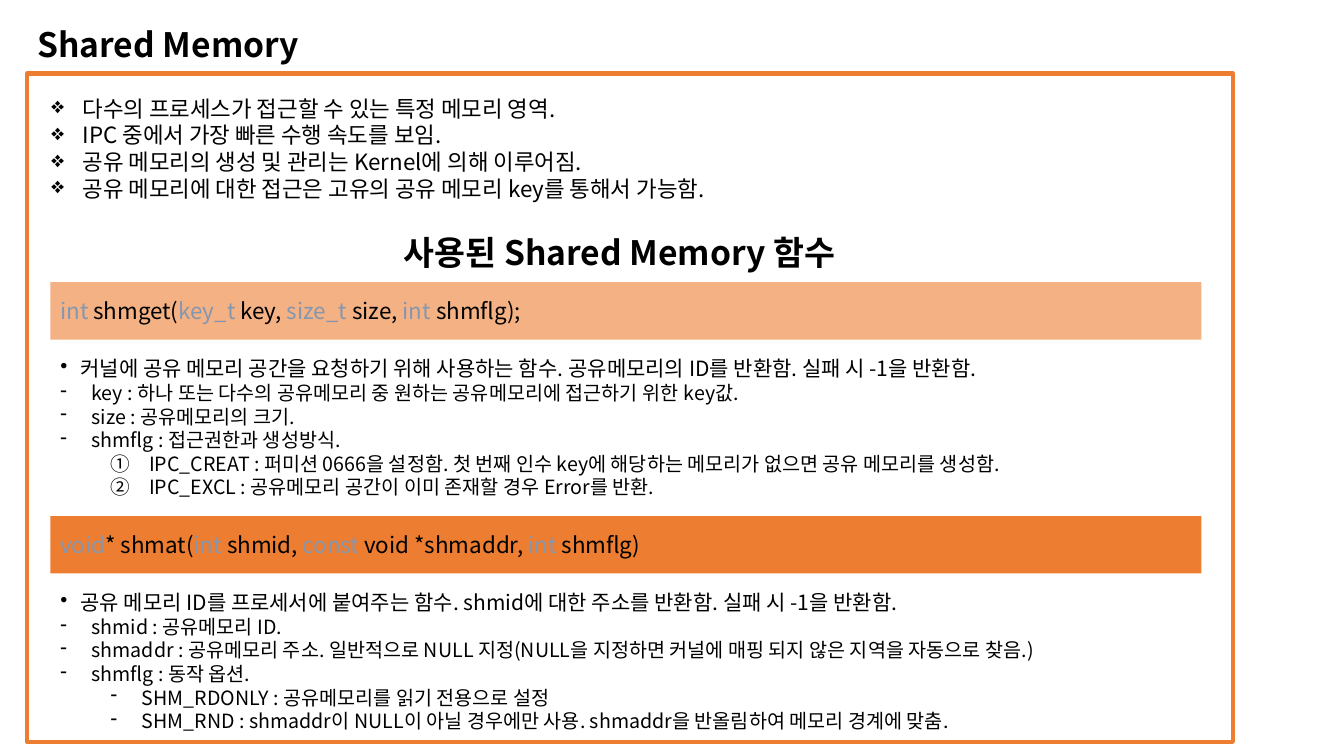
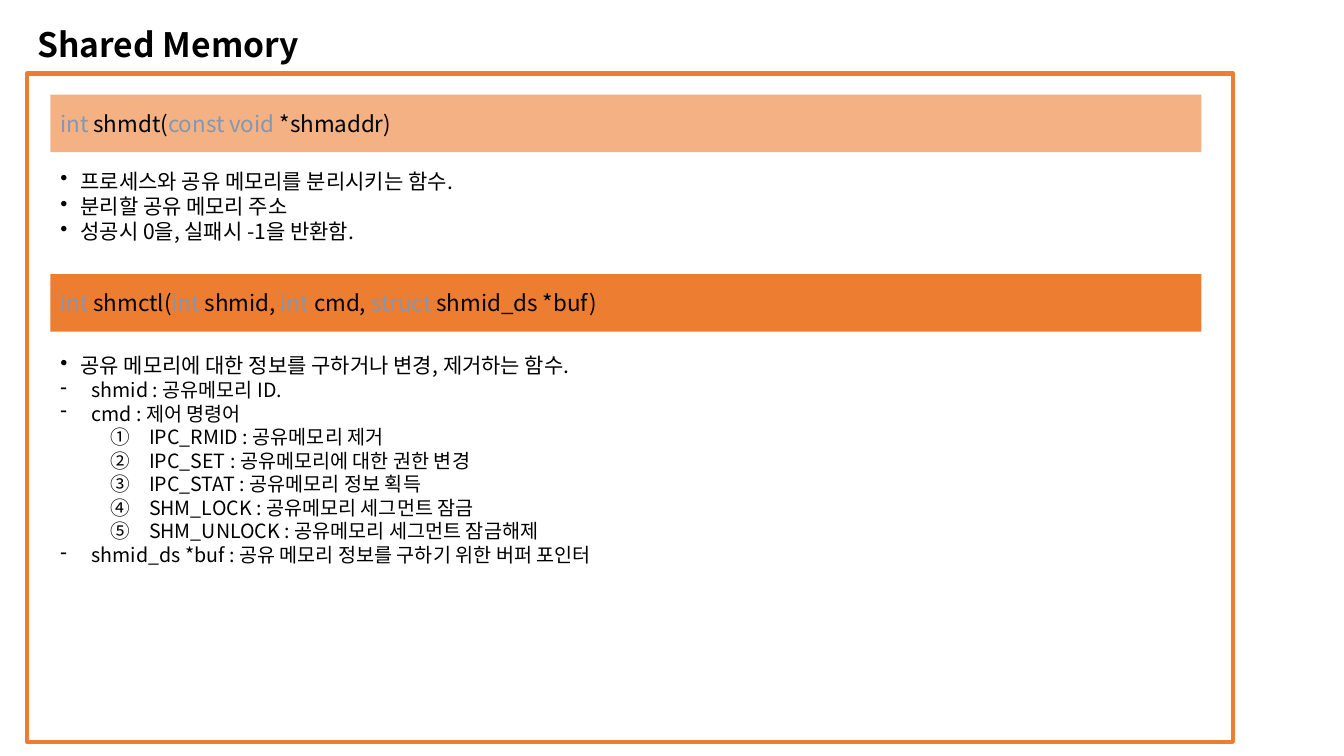
import dataclasses

import lxml.etree
import pptx
import pptx.dml.color
import pptx.enum.shapes
import pptx.enum.text
import pptx.oxml.ns
import pptx.util


@dataclasses.dataclass(frozen=True)
class Theme:
    font: str = "Noto Sans CJK KR"
    ink: str = "000000"
    key: str = "8497B0"
    pale: str = "F4B183"
    deep: str = "ED7D31"
    head: int = 24
    body: int = 16
    lead: int = 15
    note: int = 14
    pitch: float = 1.2


THEME = Theme()
WIDE = pptx.util.Inches(13.33)
HIGH = pptx.util.Inches(7.5)
PAD = pptx.util.Inches(0.05)

# Shares of the slide, in percent
EDGE = 2.03
LEFT = 3.75
SPAN = 85.65
BAR = 7.6
GAP = 1.47

# Kind: bullet, level, text indent and hang in inches, type size
KINDS = {
    "gem": ("❖", 0, 0.31, 0.31, THEME.body),
    "dot": ("•", 0, 0.2, 0.2, THEME.lead),
    "dash": ("-", 0, 0.31, 0.31, THEME.note),
    "sub": ("-", 1, 0.81, 0.31, THEME.note),
    "num": (None, 1, 0.88, 0.38, THEME.note),
}

FACTS = [
    ("gem", "다수의 프로세스가 접근할 수 있는 특정 메모리 영역."),
    ("gem", "IPC 중에서 가장 빠른 수행 속도를 보임."),
    ("gem", "공유 메모리의 생성 및 관리는 Kernel에 의해 이루어짐."),
    ("gem", "공유 메모리에 대한 접근은 고유의 공유 메모리 key를 통해서 가능함."),
]
GET = [
    ("dot", "커널에 공유 메모리 공간을 요청하기 위해 사용하는 함수. "
            "공유메모리의 ID를 반환함. 실패 시 -1을 반환함."),
    ("dash", "key : 하나 또는 다수의 공유메모리 중 원하는 공유메모리에 "
             "접근하기 위한 key값."),
    ("dash", "size : 공유메모리의 크기."),
    ("dash", "shmflg : 접근권한과 생성방식."),
    ("num", "IPC_CREAT : 퍼미션 0666을 설정함. 첫 번째 인수 key에 "
            "해당하는 메모리가 없으면 공유 메모리를 생성함."),
    ("num", "IPC_EXCL : 공유메모리 공간이 이미 존재할 경우 Error를 반환."),
]
ATTACH = [
    ("dot", "공유 메모리 ID를 프로세서에 붙여주는 함수. "
            "shmid에 대한 주소를 반환함. 실패 시 -1을 반환함."),
    ("dash", "shmid : 공유메모리 ID."),
    ("dash", "shmaddr : 공유메모리 주소. 일반적으로 NULL 지정(NULL을 "
             "지정하면 커널에 매핑 되지 않은 지역을 자동으로 찾음.)"),
    ("dash", "shmflg : 동작 옵션."),
    ("sub", "SHM_RDONLY : 공유메모리를 읽기 전용으로 설정"),
    ("sub", "SHM_RND : shmaddr이 NULL이 아닐 경우에만 사용. "
            "shmaddr을 반올림하여 메모리 경계에 맞춤."),
]
DETACH = [
    ("dot", "프로세스와 공유 메모리를 분리시키는 함수."),
    ("dot", "분리할 공유 메모리 주소"),
    ("dot", "성공시 0을, 실패시 -1을 반환함."),
]
CONTROL = [
    ("dot", "공유 메모리에 대한 정보를 구하거나 변경, 제거하는 함수."),
    ("dash", "shmid : 공유메모리 ID."),
    ("dash", "cmd : 제어 명령어"),
    ("num", "IPC_RMID : 공유메모리 제거"),
    ("num", "IPC_SET : 공유메모리에 대한 권한 변경"),
    ("num", "IPC_STAT : 공유메모리 정보 획득"),
    ("num", "SHM_LOCK : 공유메모리 세그먼트 잠금"),
    ("num", "SHM_UNLOCK : 공유메모리 세그먼트 잠금해제"),
    ("dash", "shmid_ds *buf : 공유 메모리 정보를 구하기 위한 버퍼 포인터"),
]


def color(code):
    return pptx.dml.color.RGBColor.from_string(code)


def place(x, y, w, h):
    """Turn percent shares of the slide into lengths."""
    return [int(share * full / 100)
            for share, full in zip((x, y, w, h), (WIDE, HIGH, WIDE, HIGH))]


def tall(sizes):
    """Percent height of a box that holds lines of these type sizes."""
    lines = pptx.util.Pt(sum(sizes) * THEME.pitch)
    return (lines + 2 * PAD) / HIGH * 100


def write(para, text, *, size, tone=THEME.ink, bold=False):
    """Add one run to a paragraph and set its line pitch."""
    para.alignment = pptx.enum.text.PP_ALIGN.LEFT
    para.line_spacing = pptx.util.Pt(size * THEME.pitch)
    para.space_before = para.space_after = pptx.util.Pt(0)
    run = para.add_run()
    run.text = text
    font = run.font
    font.size = pptx.util.Pt(size)
    font.bold = bold
    font.color.rgb = color(tone)
    font.name = THEME.font
    east = lxml.etree.SubElement(
        run._r.get_or_add_rPr(), pptx.oxml.ns.qn("a:ea"))
    east.set("typeface", THEME.font)


def mark(para, sign, hang, indent):
    """Give a paragraph its bullet; no sign means circled numbers."""
    props = para._p.get_or_add_pPr()
    props.set("marL", str(pptx.util.Inches(indent)))
    props.set("indent", str(-pptx.util.Inches(hang)))
    tag, name, value = (("a:buChar", "char", sign) if sign else
                        ("a:buAutoNum", "type", "circleNumDbPlain"))
    node = lxml.etree.SubElement(props, pptx.oxml.ns.qn(tag))
    node.set(name, value)


def setup(frame, anchor=pptx.enum.text.MSO_ANCHOR.TOP):
    frame.word_wrap = True
    frame.auto_size = pptx.enum.text.MSO_AUTO_SIZE.NONE
    frame.vertical_anchor = anchor
    frame.margin_top = frame.margin_bottom = PAD
    return frame


def rect(slide, *box):
    shape = slide.shapes.add_shape(
        pptx.enum.shapes.MSO_SHAPE.RECTANGLE, *place(*box))
    shape.shadow.inherit = False
    return shape


def notes(slide, items, x, y, w):
    sizes = [KINDS[kind][-1] for kind, _ in items]
    box = slide.shapes.add_textbox(*place(x, y, w, tall(sizes)))
    frame = setup(box.text_frame)
    for spot, (kind, text) in enumerate(items):
        para = frame.add_paragraph() if spot else frame.paragraphs[0]
        sign, level, indent, hang, size = KINDS[kind]
        para.level = level
        write(para, text, size=size)
        mark(para, sign, hang, indent)


def entry(slide, y, fill, code, items, gap=GAP):
    """Draw a signature bar, its parts in turn key and plain, and notes."""
    bar = rect(slide, LEFT, y, SPAN, BAR)
    bar.fill.solid()
    bar.fill.fore_color.rgb = color(fill)
    bar.line.fill.background()
    frame = setup(bar.text_frame, pptx.enum.text.MSO_ANCHOR.MIDDLE)
    for spot, part in enumerate(code.split("|")):
        tone = THEME.ink if spot % 2 else THEME.key
        write(frame.paragraphs[0], part, size=THEME.body, tone=tone)
    notes(slide, items, LEFT, y + BAR + gap, SPAN)


def head(shape, text, x, y, w):
    shape.left, shape.top, shape.width, shape.height = place(
        x, y, w, tall([THEME.head]))
    frame = setup(shape.text_frame)
    write(frame.paragraphs[0], text, size=THEME.head, bold=True)


def start(deck):
    """Add a slide with the shared title and frame."""
    slide = deck.slides.add_slide(deck.slide_layouts[5])
    head(slide.shapes.title, "Shared Memory", EDGE, 2.53, 40.35)
    border = rect(slide, EDGE, 9.73, 89.7, 88.4)
    border.fill.background()
    border.line.color.rgb = color(THEME.deep)
    border.line.width = pptx.util.Pt(3)
    return slide


def main():
    deck = pptx.Presentation()
    deck.slide_width, deck.slide_height = WIDE, HIGH

    slide = start(deck)
    notes(slide, FACTS, 3.08, 11.87, 87.07)
    label = slide.shapes.add_textbox(0, 0, 0, 0)
    head(label, "사용된 Shared Memory 함수", 29.32, 30, 35.1)
    entry(slide, 37.33, THEME.pale,
          "int |shmget(|key_t |key, |size_t |size, |int |shmflg);", GET)
    entry(slide, 68.27, THEME.deep,
          "void|* shmat(|int |shmid, |const| void *shmaddr, |int |shmflg)",
          ATTACH)

    slide = start(deck)
    entry(slide, 12.53, THEME.pale,
          "int |shmdt(|const void |*shmaddr)", DETACH)
    entry(slide, 36.27, THEME.deep,
          "int |shmctl(|int |shmid, |int |cmd, |struct |shmid_ds *buf)",
          CONTROL, gap=2.13)

    deck.save("out.pptx")


if __name__ == "__main__":
    main()
